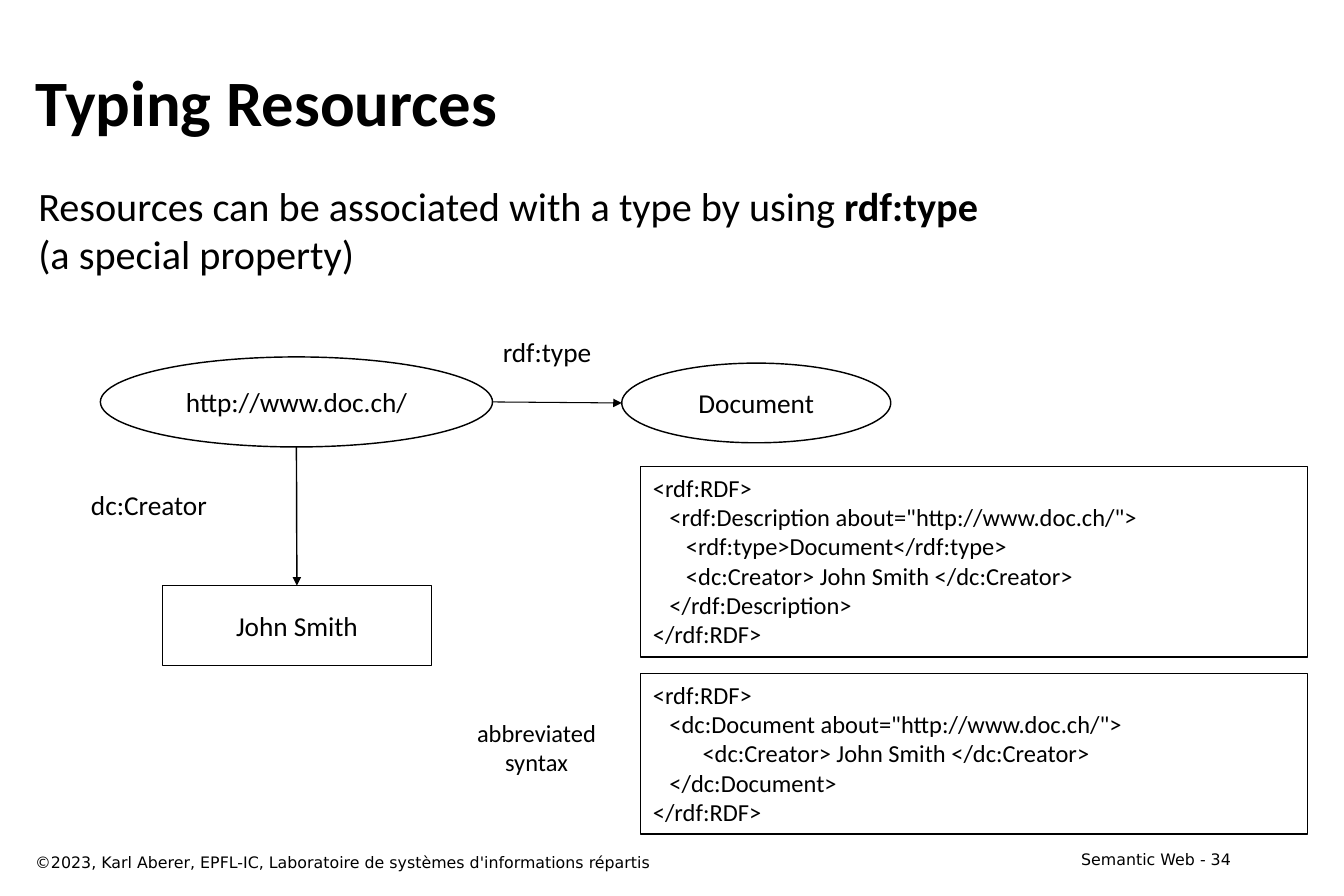
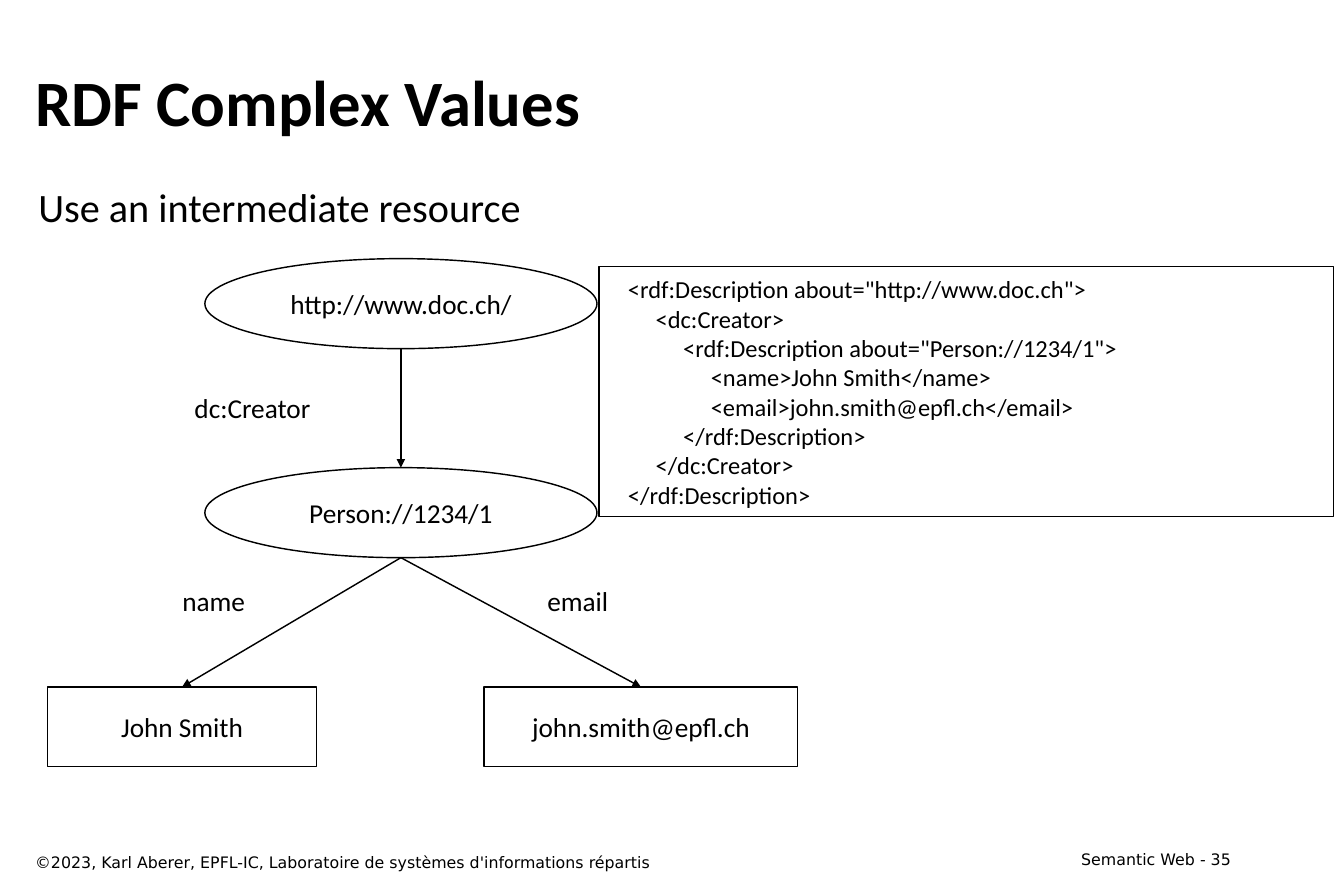
from lxml import etree
from pptx import Presentation
from pptx.dml.color import RGBColor
from pptx.enum.shapes import MSO_CONNECTOR, MSO_SHAPE
from pptx.enum.text import MSO_ANCHOR, MSO_AUTO_SIZE, PP_ALIGN
from pptx.oxml.ns import qn
from pptx.util import Inches, Pt

COLORS = {"ink": "000000", "paper": "FFFFFF"}
FONT, FOOTER_FONT = "Calibri", "DejaVu Sans"
LEFT, CENTER, RIGHT = PP_ALIGN.LEFT, PP_ALIGN.CENTER, PP_ALIGN.RIGHT
TOP, MIDDLE = MSO_ANCHOR.TOP, MSO_ANCHOR.MIDDLE
ELLIPSE, PROCESS = MSO_SHAPE.OVAL, MSO_SHAPE.FLOWCHART_PROCESS
RECTANGLE, STRAIGHT = MSO_SHAPE.RECTANGLE, MSO_CONNECTOR.STRAIGHT
NO_AUTOFIT = MSO_AUTO_SIZE.NONE
TOP_SITE = 0
COPYRIGHT = "©2023, Karl Aberer, EPFL-IC, Laboratoire de systèmes d'informations répartis"

RESOURCE_SIZE = (3.79, 0.87)
VALUE_SIZE = (2.6, 0.77)

TYPED_CODE = [
    '<rdf:RDF>',
    '   <rdf:Description about="http://www.doc.ch/">',
    '      <rdf:type>Document</rdf:type>',
    '      <dc:Creator> John Smith </dc:Creator>',
    '   </rdf:Description>',
    '</rdf:RDF>',
]
SHORT_CODE = [
    '<rdf:RDF>',
    '   <dc:Document about="http://www.doc.ch/">',
    '         <dc:Creator> John Smith </dc:Creator>',
    '   </dc:Document>',
    '</rdf:RDF>',
]
NESTED_CODE = [
    '   <rdf:Description about="http://www.doc.ch">',
    '        <dc:Creator>',
    '             <rdf:Description about="Person://1234/1">',
    '                  <name>John Smith</name>',
    '                  <email>john.smith@epfl.ch</email>',
    '             </rdf:Description>',
    '        </dc:Creator>',
    '   </rdf:Description>',
]


def color(name):
    return RGBColor.from_string(COLORS[name])


def set_frame(box, anchor=TOP, wrap=True):
    frame = box.text_frame
    frame.auto_size = NO_AUTOFIT
    frame.word_wrap = wrap
    frame.vertical_anchor = anchor
    frame.margin_left = frame.margin_right = Inches(0.12)
    frame.margin_top = frame.margin_bottom = Inches(0.06)
    return frame


def add_span(para, text, size, bold=False, font=FONT):
    span = para.add_run()
    span.text = text
    span.font.name, span.font.size, span.font.bold = font, Pt(size), bold
    span.font.color.rgb = color("ink")


def write_lines(frame, lines, size, align=LEFT, bold=False, font=FONT):
    for index, line in enumerate(lines):
        para = frame.add_paragraph() if index else frame.paragraphs[0]
        para.alignment = align
        add_span(para, line, size, bold, font)


def place(box, left, top, width, height):
    box.left, box.top = Inches(left), Inches(top)
    box.width, box.height = Inches(width), Inches(height)


def add_label(page, at, lines, size=19, align=LEFT, font=FONT, wrap=False):
    box = page.shapes.add_textbox(*map(Inches, at))
    write_lines(set_frame(box, wrap=wrap), lines, size, align, font=font)


def add_outlined(page, kind, at, line_width):
    box = page.shapes.add_shape(kind, *map(Inches, at))
    box.shadow.inherit = False
    box.line.color.rgb = color("ink")
    box.line.width = Pt(line_width)
    return box


def add_node(page, kind, position, size, text):
    node = add_outlined(page, kind, (*position, *size), 1)
    node.fill.solid()
    node.fill.fore_color.rgb = color("paper")
    write_lines(set_frame(node, MIDDLE, wrap=False), [text], 19, CENTER)
    return node


def add_code(page, at, lines, anchor=TOP, line_width=1):
    box = add_outlined(page, RECTANGLE, at, line_width)
    box.fill.background()
    write_lines(set_frame(box, anchor), lines, 17)


def top_of(node):
    return node.left + node.width // 2, node.top


def bottom_of(node):
    return node.left + node.width // 2, node.top + node.height


def left_of(node):
    return node.left, node.top + node.height // 2


def right_of(node):
    return node.left + node.width, node.top + node.height // 2


def add_arrow(page, start, end, line_width=1):
    arrow = page.shapes.add_connector(STRAIGHT, *start, *end)
    arrow.line.color.rgb = color("ink")
    arrow.line.width = Pt(line_width)
    properties = arrow.element.spPr
    etree.SubElement(properties.find(qn("a:ln")), qn("a:tailEnd"), type="triangle")
    etree.SubElement(properties, qn("a:effectLst"))
    return arrow


def add_arrow_down(page, upper, lower):
    """Arrow from the bottom of an ellipse to the top of a value box."""
    arrow = add_arrow(page, bottom_of(upper), top_of(lower))
    arrow.end_connect(lower, TOP_SITE)


def add_page(deck, number, title, body_at, body_lines):
    """Page with title, body text and footers; a body line is a list of (text, bold)."""
    page = deck.slides.add_slide(deck.slide_layouts[1])
    heading, body = page.placeholders[0], page.placeholders[1]
    place(heading, 0.22, 0.39, 11.8, 1.16)
    write_lines(set_frame(heading, MIDDLE), [title], 45, bold=True)

    place(body, *body_at)
    para = set_frame(body).paragraphs[0]
    properties = para._p.get_or_add_pPr()
    properties.set("marL", "0")
    properties.set("indent", "0")
    etree.SubElement(properties, qn("a:buNone"))
    para.space_before = Pt(0)
    for index, line in enumerate(body_lines):
        if index:
            para.add_line_break()
        for text, bold in line:
            add_span(para, text, 28, bold)

    # Footers
    add_label(page, (9.31, 8.15, 2.71, 0.29), [f"Semantic Web - {number}"],
              11, RIGHT, FOOTER_FONT, wrap=True)
    add_label(page, (0.22, 8.18, 8.34, 0.29), [COPYRIGHT],
              11, LEFT, FOOTER_FONT, wrap=True)
    return page


def build_typing(deck):
    page = add_page(deck, 34, "Typing Resources", (0.25, 1.69, 11.8, 6.35), [
        [("Resources can be associated with a type by using ", False), ("rdf:type", True)],
        [("(a special property)", False)],
    ])
    # Graph
    resource = add_node(page, ELLIPSE, (0.97, 3.45), RESOURCE_SIZE, "http://www.doc.ch/")
    creator = add_node(page, PROCESS, (1.57, 5.66), VALUE_SIZE, "John Smith")
    document = add_node(page, ELLIPSE, (6.01, 3.51), VALUE_SIZE, "Document")
    add_arrow_down(page, resource, creator)
    add_arrow(page, right_of(resource), left_of(document), 0.75)
    add_label(page, (0.76, 4.66, 1.36, 0.44), ["dc:Creator"])
    add_label(page, (4.74, 3.18, 1.1, 0.44), ["rdf:type"])
    # Long and abbreviated syntax
    add_code(page, (6.19, 4.51, 6.45, 1.84), TYPED_CODE)
    add_code(page, (6.19, 6.51, 6.45, 1.55), SHORT_CODE)
    add_label(page, (4.49, 6.88, 1.39, 0.69), ["abbreviated", "syntax"], 17, CENTER)


def build_complex_values(deck):
    page = add_page(deck, 35, "RDF Complex Values", (0.25, 1.7, 11.8, 1.06),
                    [[("Use an intermediate resource", False)]])
    # Graph
    resource = add_node(page, ELLIPSE, (1.98, 2.5), RESOURCE_SIZE, "http://www.doc.ch/")
    person = add_node(page, ELLIPSE, (1.98, 4.52), RESOURCE_SIZE, "Person://1234/1")
    name = add_node(page, PROCESS, (0.46, 6.64), VALUE_SIZE, "John Smith")
    email = add_node(page, PROCESS, (4.68, 6.64), (3.03, 0.77), "john.smith@epfl.ch")
    add_arrow(page, bottom_of(resource), top_of(person))
    for value in (name, email):
        add_arrow_down(page, person, value)
    add_label(page, (1.76, 3.72, 1.36, 0.44), ["dc:Creator"])
    add_label(page, (1.64, 5.59, 0.85, 0.44), ["name"], align=CENTER)
    add_label(page, (5.17, 5.59, 0.83, 0.44), ["email"], align=CENTER)
    # Nested syntax
    add_code(page, (5.79, 2.58, 7.1, 2.41), NESTED_CODE, MIDDLE, 0.75)


def main():
    deck = Presentation()
    deck.slide_width, deck.slide_height = Inches(12.99), Inches(8.66)
    build_typing(deck)
    build_complex_values(deck)
    deck.save("out.pptx")


if __name__ == "__main__":
    main()
